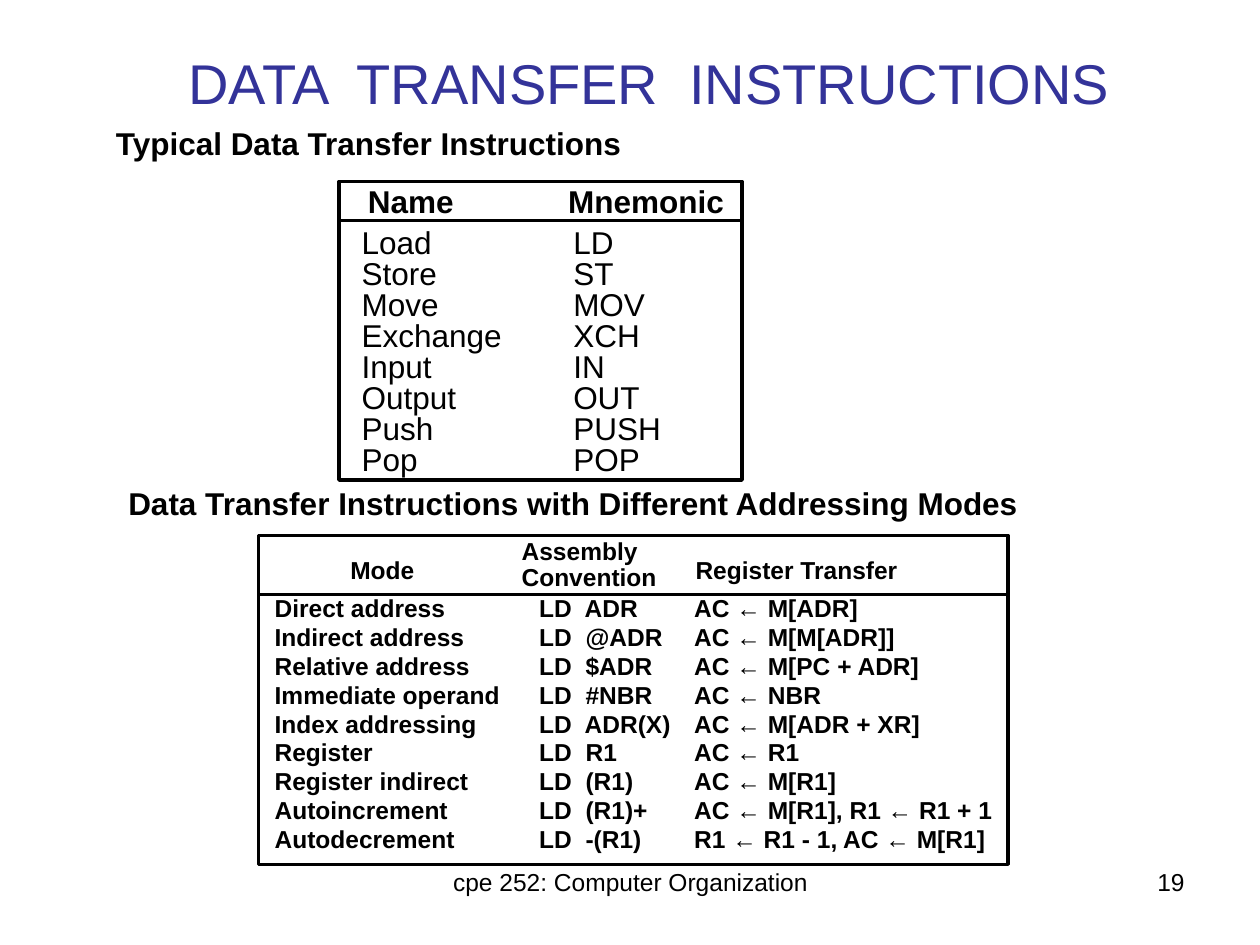
"""Build the data transfer instructions slide."""
from dataclasses import dataclass

from lxml.etree import SubElement
from pptx import Presentation
from pptx.dml.color import RGBColor
from pptx.enum.shapes import MSO_CONNECTOR, MSO_SHAPE
from pptx.enum.text import MSO_ANCHOR, PP_ALIGN
from pptx.oxml.ns import qn
from pptx.util import Inches, Pt


@dataclass(frozen=True)
class Theme:
    """Shared colours, type sizes and font."""
    font: str = "Arial"
    ink: RGBColor = RGBColor(0x00, 0x00, 0x00)
    heading: RGBColor = RGBColor(0x33, 0x33, 0x99)
    title_size: int = 32
    large: int = 18
    small: int = 14
    rule: int = 2


THEME = Theme()


@dataclass(frozen=True)
class Box:
    """Position and size in inches."""
    left: float
    top: float
    width: float
    height: float

    def emu(self) -> tuple:
        """Return the four lengths for a shape call."""
        return tuple(map(Inches, (self.left, self.top, self.width, self.height)))


@dataclass(frozen=True)
class Block:
    """Lines of text with their formatting."""
    box: Box
    lines: tuple
    size: int = THEME.small
    bold: bool = True
    spacing: float = 0.9
    tabs: tuple = ()
    align: PP_ALIGN = PP_ALIGN.LEFT
    margins: tuple = (0.07, 0.03)
    colour: RGBColor = THEME.ink
    anchor: MSO_ANCHOR = MSO_ANCHOR.TOP


@dataclass(frozen=True)
class Panel:
    """A framed list with a rule under its header."""
    frame: Box
    rule_left: float
    rule_right: float
    rule_top: float


INSTRUCTIONS = (
    ("Load", "LD"), ("Store", "ST"), ("Move", "MOV"), ("Exchange", "XCH"),
    ("Input", "IN"), ("Output", "OUT"), ("Push", "PUSH"), ("Pop", "POP"),
)
ADDRESSING_MODES = (
    ("Direct address", "LD  ADR", "AC ← M[ADR]"),
    ("Indirect address", "LD  @ADR", "AC ← M[M[ADR]]"),
    ("Relative address", "LD  $ADR", "AC ← M[PC + ADR]"),
    ("Immediate operand", "LD  #NBR", "AC ← NBR"),
    ("Index addressing", "LD  ADR(X)", "AC ← M[ADR + XR]"),
    ("Register", "LD  R1", "AC ← R1"),
    ("Register indirect", "LD  (R1)", "AC ← M[R1]"),
    ("Autoincrement", "LD  (R1)+", "AC ← M[R1], R1 ← R1 + 1"),
    ("Autodecrement", "LD  -(R1)", "R1 ← R1 - 1, AC ← M[R1]"),
)

TITLE = Block(Box(0.92, 0.25, 8.47, 0.8), ("DATA  TRANSFER  INSTRUCTIONS",),
              THEME.title_size, False, 1.0, align=PP_ALIGN.CENTER,
              colour=THEME.heading, anchor=MSO_ANCHOR.MIDDLE)
BLOCKS = (
    Block(Box(3.42, 6.83, 3.17, 0.52), ("cpe 252: Computer Organization",), bold=False,
          spacing=1.0, align=PP_ALIGN.CENTER, margins=(0.1, 0.05)),
    Block(Box(7.17, 6.83, 2.33, 0.52), ("19",), bold=False,
          spacing=1.0, align=PP_ALIGN.RIGHT, margins=(0.1, 0.05)),
    Block(Box(2.8, 1.79, 3.61, 2.02), tuple(map("\t".join, INSTRUCTIONS)), THEME.large,
          False, 0.82, (1.68,)),
    Block(Box(2.85, 1.45, 3.04, 0.33), ("Name\tMnemonic",), THEME.large, tabs=(1.59,)),
    Block(Box(0.85, 0.99, 4.25, 0.33), ("Typical Data Transfer Instructions",), THEME.large),
    Block(Box(2.11, 4.69, 5.87, 2.11), tuple(map("\t".join, ADDRESSING_MODES)),
          spacing=0.98, tabs=(2.1, 3.33)),
    Block(Box(2.71, 4.4, 0.72, 0.27), ("Mode",)),
    Block(Box(4.07, 4.25, 1.3, 0.48), ("Assembly", "Convention")),
    Block(Box(5.45, 4.4, 1.85, 0.27), ("Register Transfer",)),
    Block(Box(0.92, 3.83, 7.4, 0.37),
          ("Data Transfer Instructions with Different Addressing Modes",),
          THEME.large, margins=(0.1, 0.05)),
)
PANELS = (
    Panel(Box(2.69, 1.44, 3.2, 2.37), 2.68, 5.9, 1.75),
    Panel(Box(2.05, 4.25, 5.95, 2.61), 2.06, 8.01, 4.72),
)


def apply(target, formats: dict) -> None:
    """Set each named attribute on the target."""
    for name, value in formats.items():
        setattr(target, name, value)


def add_tabs(paragraph, stops: tuple) -> None:
    """Give the paragraph left tab stops."""
    if stops:
        tab_list = SubElement(paragraph._p.get_or_add_pPr(), qn("a:tabLst"))
        for stop in stops:
            SubElement(tab_list, qn("a:tab"), pos=str(Inches(stop)), algn="l")


def write(frame, block: Block) -> None:
    """Fill a text frame with the block's lines."""
    side, edge = map(Inches, block.margins)
    apply(frame, {"margin_left": side, "margin_right": side, "margin_top": edge,
                  "margin_bottom": edge, "word_wrap": True,
                  "vertical_anchor": block.anchor})
    for index, line in enumerate(block.lines):
        paragraph = frame.add_paragraph() if index else frame.paragraphs[0]
        apply(paragraph, {"alignment": block.align, "line_spacing": block.spacing})
        add_tabs(paragraph, block.tabs)
        run = paragraph.add_run()
        run.text = line
        apply(run.font, {"name": THEME.font, "size": Pt(block.size), "bold": block.bold})
        run.font.color.rgb = block.colour


def draw_panel(shapes, panel: Panel) -> None:
    """Draw the frame and its header rule."""
    frame = shapes.add_shape(MSO_SHAPE.RECTANGLE, *panel.frame.emu())
    frame.shadow.inherit = False
    frame.fill.background()
    rule = shapes.add_connector(
        MSO_CONNECTOR.STRAIGHT, Inches(panel.rule_left), Inches(panel.rule_top),
        Inches(panel.rule_right), Inches(panel.rule_top))
    for outline in (frame.line, rule.line):
        outline.color.rgb = THEME.ink
        outline.width = Pt(THEME.rule)
    SubElement(rule._element.spPr, qn("a:effectLst"))


def main() -> None:
    """Assemble and save the slide."""
    deck = Presentation()
    apply(deck, {"slide_width": Inches(10), "slide_height": Inches(7.5)})
    slide = deck.slides.add_slide(deck.slide_layouts[5])
    title = slide.shapes.title
    apply(title, dict(zip(("left", "top", "width", "height"), TITLE.box.emu())))
    write(title.text_frame, TITLE)
    for block in BLOCKS:
        write(slide.shapes.add_textbox(*block.box.emu()).text_frame, block)
    for panel in PANELS:
        draw_panel(slide.shapes, panel)
    deck.save("out.pptx")


if __name__ == "__main__":
    main()
